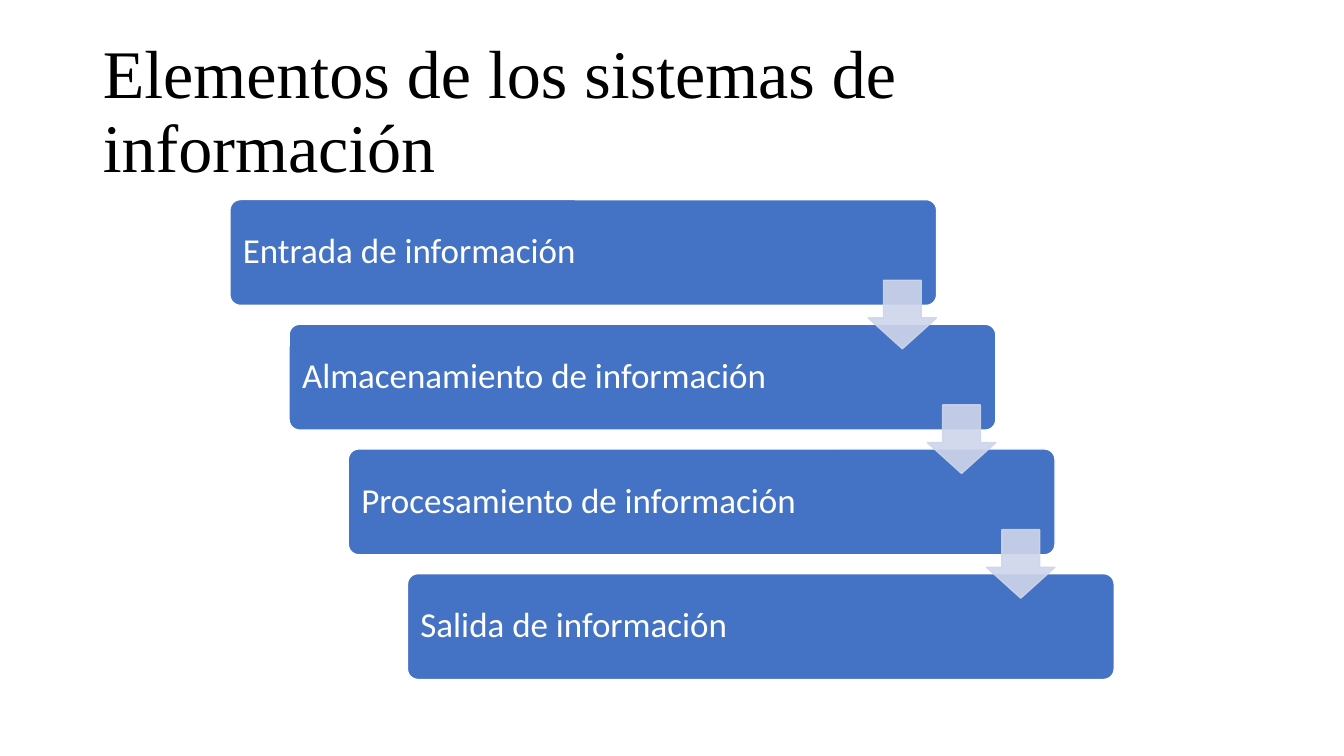
"""Build the slide on the elements of information systems."""
from lxml import etree
from pptx import Presentation
from pptx.dml.color import RGBColor
from pptx.enum.shapes import MSO_SHAPE
from pptx.enum.text import MSO_ANCHOR, MSO_AUTO_SIZE, PP_ALIGN
from pptx.oxml.ns import qn
from pptx.util import Inches, Pt

ROUNDED, DOWN_ARROW = MSO_SHAPE.ROUNDED_RECTANGLE, MSO_SHAPE.DOWN_ARROW
MIDDLE, LEFT, NO_AUTOFIT = MSO_ANCHOR.MIDDLE, PP_ALIGN.LEFT, MSO_AUTO_SIZE.NONE
BLACK = RGBColor(0x00, 0x00, 0x00)
WHITE = RGBColor(0xFF, 0xFF, 0xFF)
BLUE = RGBColor(0x44, 0x72, 0xC4)
PALE_BLUE = RGBColor(0xCF, 0xD5, 0xEA)
STAGES = (
    "Entrada de información",
    "Almacenamiento de información",
    "Procesamiento de información",
    "Salida de información",
)
FIRST_LEFT, FIRST_TOP = 2.28, 1.98
STEP_X, STEP_Y = 0.587, 1.237
STAGE_WIDTH, STAGE_HEIGHT = 7.01, 1.05
ARROW_SIZE, ARROW_DX, ARROW_DY = 0.68, 6.33, 0.8


def write_text(frame, text, *, font, size, color, inset_x=0.1, inset_y=0.1):
    """Put one left-aligned, vertically centred paragraph in a text frame."""
    frame.word_wrap = True
    frame.auto_size = NO_AUTOFIT
    frame.vertical_anchor = MIDDLE
    frame.margin_left = frame.margin_right = Inches(inset_x)
    frame.margin_top = frame.margin_bottom = Inches(inset_y)
    paragraph = frame.paragraphs[0]
    paragraph.alignment = LEFT
    paragraph.line_spacing = 0.9
    run = paragraph.add_run()
    run.text = text
    run.font.name = font
    run.font.size = Pt(size)
    run.font.color.rgb = color


class CascadeSlide:
    """Hold the fonts and the current slide, and draw its elements."""

    title_font, body_font = "Times New Roman", "Calibri"

    def __init__(self, presentation):
        """Add a title-only slide."""
        self.slide = presentation.slides.add_slide(presentation.slide_layouts[5])

    def title(self, text):
        """Place and fill the title."""
        heading = self.slide.shapes.title
        heading.left, heading.top = Inches(0.92), Inches(0.4)
        heading.width, heading.height = Inches(11.5), Inches(1.45)
        write_text(heading.text_frame, text, font=self.title_font, size=48.6,
                   color=BLACK, inset_y=0.05)

    def block(self, kind, box, adjustments, fill, line):
        """Draw a flat preset shape with a thin outline."""
        block = self.slide.shapes.add_shape(kind, *map(Inches, box))
        block.shadow.inherit = False
        for index, value in enumerate(adjustments):
            block.adjustments[index] = value
        block.fill.solid()
        block.fill.fore_color.rgb = fill
        block.line.color.rgb = line
        block.line.width = Pt(1)
        return block

    def stage(self, left, top, text):
        """Draw one labelled step of the cascade."""
        stage = self.block(ROUNDED, (left, top, STAGE_WIDTH, STAGE_HEIGHT),
                           (0.1,), BLUE, WHITE)
        write_text(stage.text_frame, text, font=self.body_font, size=25, color=WHITE)

    def arrow(self, left, top):
        """Draw a slightly transparent arrow to the next step."""
        arrow = self.block(DOWN_ARROW, (left, top, ARROW_SIZE, ARROW_SIZE),
                           (0.55, 0.45), PALE_BLUE, PALE_BLUE)
        for color in arrow.element.spPr.iter(qn("a:srgbClr")):
            etree.SubElement(color, qn("a:alpha")).set("val", "90000")


def main():
    """Create and save the presentation."""
    presentation = Presentation()
    presentation.slide_width, presentation.slide_height = Inches(13.33), Inches(7.5)
    cascade = CascadeSlide(presentation)
    cascade.title("Elementos de los sistemas de información")
    corners = [(FIRST_LEFT + i * STEP_X, FIRST_TOP + i * STEP_Y)
               for i in range(len(STAGES))]
    for (left, top), text in zip(corners, STAGES):
        cascade.stage(left, top, text)
    for left, top in corners[:-1]:
        cascade.arrow(left + ARROW_DX, top + ARROW_DY)
    presentation.save("out.pptx")


if __name__ == "__main__":
    main()
